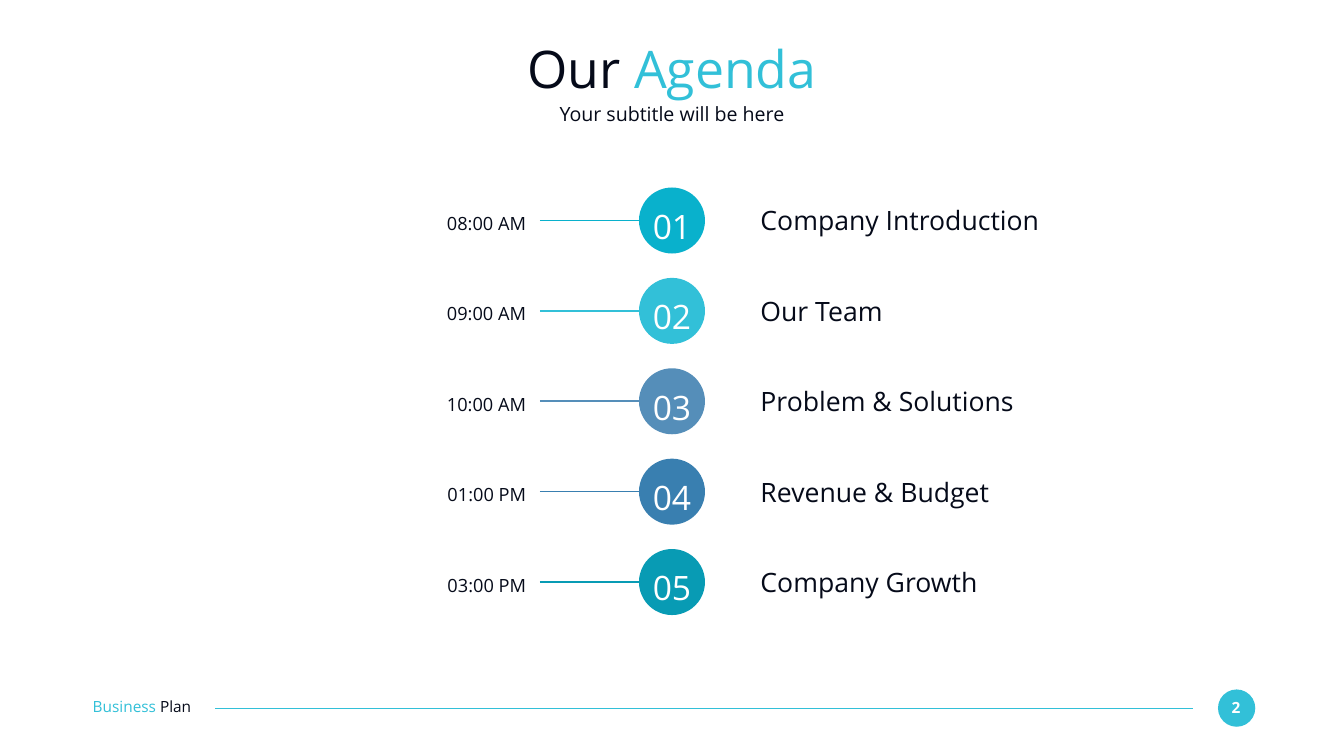
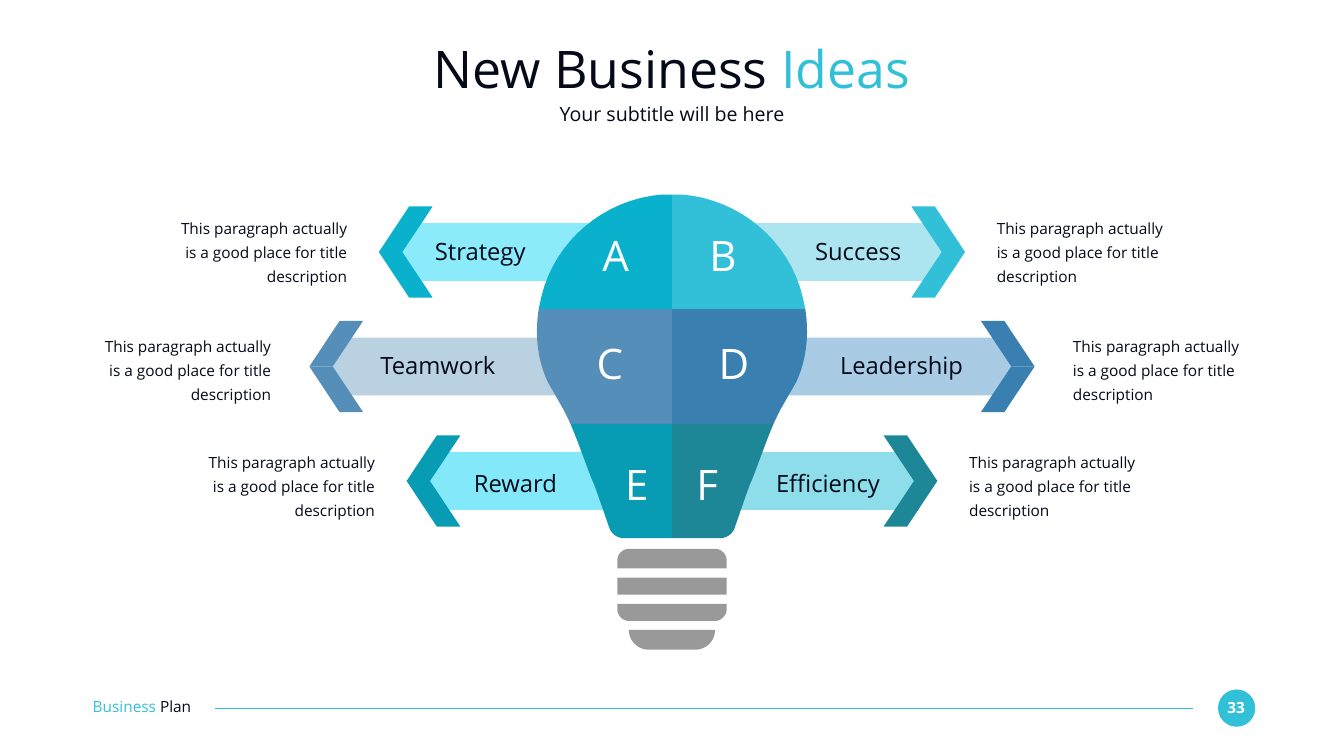
from dataclasses import dataclass

import lxml.etree
import pptx
import pptx.dml.color
import pptx.enum.shapes
import pptx.enum.text
import pptx.oxml.ns
import pptx.util

Align = pptx.enum.text.PP_ALIGN


@dataclass(frozen=True)
class Theme:
    font: str = "Open Sans"
    ink: str = "050A19"
    white: str = "FFFFFF"
    gray: str = "999999"
    accent: str = "32C0D8"
    cyan: str = "09B1CC"
    steel: str = "558EB9"
    blue: str = "397FB0"
    teal: str = "089BB4"
    pine: str = "1D8697"
    title: int = 74
    letter: int = 60
    number: int = 48
    topic: int = 38
    label: int = 34
    subtitle: int = 28
    time: int = 26
    small: int = 22


@dataclass(frozen=True)
class Box:
    """Place in grid columns and rows."""
    left: float
    top: float
    width: float
    height: float


@dataclass(frozen=True)
class AgendaItem:
    time: str
    topic: str
    color: str


@dataclass(frozen=True)
class Arm:
    """One labelled arrow; reaches are columns from the centre line."""
    side: int
    row: int
    letter: str
    label: str
    color: str
    tint: str
    letter_reach: float
    label_reach: float


@dataclass(frozen=True)
class ArmRow:
    tip: float
    inner: float
    label_width: float
    text_gap: float
    text_top: float
    letter_top: float
    label_top: float


THEME = Theme()

# Grid: 160 columns by 90 rows
SLIDE_WIDTH = pptx.util.Inches(26.67)
SLIDE_HEIGHT = pptx.util.Inches(15)
COLUMN = SLIDE_WIDTH / 160
ROW = SLIDE_HEIGHT / 90
CENTER = 80

AGENDA = [
    AgendaItem("08:00 AM", "Company Introduction", THEME.cyan),
    AgendaItem("09:00 AM", "Our Team", THEME.accent),
    AgendaItem("10:00 AM", "Problem & Solutions", THEME.steel),
    AgendaItem("01:00 PM", "Revenue & Budget", THEME.blue),
    AgendaItem("03:00 PM", "Company Growth", THEME.teal),
]
AGENDA_PITCH = 10.76

ARM_ROWS = [
    ArmRow(32.49, 3.81, 16.08, 6.18, 25.38, 27.3, 28.2),
    ArmRow(40.77, 3.81, 22.2, 6.96, 39.48, 40.14, 41.7),
    ArmRow(29.19, 0.51, 16.08, 6.18, 53.28, 54.54, 55.8),
]
ARMS = [
    Arm(-1, 0, "A", "Strategy", THEME.cyan, "8BEBFA", 6.72, 22.83),
    Arm(1, 0, "B", "Success", THEME.accent, "ACE5EF", 6.06, 22.17),
    Arm(-1, 1, "C", "Teamwork", THEME.steel, "BAD1E2", 7.38, 27.87),
    Arm(1, 1, "D", "Leadership", THEME.blue, "A9CBE4", 7.38, 27.33),
    Arm(-1, 2, "E", "Reward", THEME.teal, "83E8F9", 4.2, 18.63),
    Arm(1, 2, "F", "Efficiency", THEME.pine, "8EDDEA", 4.2, 18.57),
]
ARM_TOP, ARM_PITCH = 30, 13.63
DESCRIPTION = "This paragraph actually is a good place for title description"

# Half outlines: (reach, row) is a corner, six values are a Bézier curve
BULB_PANELS = [
    [(0, 23.16), (1.17, 23.16), (8.07, 23.7, 14.01, 28.68, 15.57, 35.4),
     (15.87, 36.8), (0, 36.8)],
    [(0, 36.8), (15.87, 36.8), (16.35, 39.9, 15.99, 42.9, 14.79, 45.48),
     (12.93, 48.72), (12.69, 49.2, 12.39, 49.8, 12.09, 50.45), (0, 50.45)],
    [(0, 50.45), (12.09, 50.45), (11.01, 52.98, 9.87, 56.4, 9.33, 57.54),
     (8.91, 58.62, 8.07, 61.08, 7.47, 62.82),
     (7.23, 63.54, 6.51, 64.08, 5.67, 64.08), (0, 64.08)],
]
SOCKET_RINGS = [
    [(5.13, 65.34), (5.85, 65.34, 6.51, 65.94, 6.51, 66.72), (6.51, 67.68)],
    [(6.51, 68.76), (6.51, 70.8)],
    [(6.51, 71.88), (6.51, 72.54), (6.51, 73.26, 5.85, 73.92, 5.13, 73.92)],
    [(5.13, 75), (5.13, 76.32, 4.05, 77.34, 2.79, 77.34)],
]


def x(columns: float) -> int:
    return round(columns * COLUMN)


def y(rows: float) -> int:
    return round(rows * ROW)


def place(box: Box) -> tuple:
    return x(box.left), y(box.top), x(box.width), y(box.height)


def rgb(color: str):
    return pptx.dml.color.RGBColor.from_string(color)


def apply(target, values: dict) -> None:
    for name, value in values.items():
        setattr(target, name, value)


def paint(shape, color: str) -> None:
    shape.shadow.inherit = False
    shape.fill.solid()
    shape.fill.fore_color.rgb = rgb(color)
    shape.line.fill.background()


def add_text(slide, box: Box, runs: list, size: int, align=Align.LEFT,
             spacing: float = 1.0, bold: bool = False) -> None:
    """Write runs of (text, colour) in one paragraph."""
    frame = slide.shapes.add_textbox(*place(box)).text_frame
    apply(frame, {"word_wrap": True, "margin_left": 0, "margin_right": 0,
                  "margin_top": 0, "margin_bottom": 0})
    paragraph = frame.paragraphs[0]
    apply(paragraph, {"alignment": align, "line_spacing": spacing})
    for text, color in runs:
        run = paragraph.add_run()
        run.text = text
        apply(run.font, {"name": THEME.font, "size": pptx.util.Pt(size), "bold": bold})
        run.font.color.rgb = rgb(color)


def add_circle(slide, box: Box, color: str) -> None:
    paint(slide.shapes.add_shape(pptx.enum.shapes.MSO_SHAPE.OVAL, *place(box)), color)


def add_line(slide, start: float, end: float, row: float, color: str, weight: float) -> None:
    line = slide.shapes.add_connector(
        pptx.enum.shapes.MSO_CONNECTOR.STRAIGHT, x(start), y(row), x(end), y(row))
    line.line.color.rgb = rgb(color)
    line.line.width = pptx.util.Pt(weight)
    properties = line._element.spPr
    lxml.etree.SubElement(properties, pptx.oxml.ns.qn("a:effectLst"))


def flatten(outline: list, steps: int = 16) -> list:
    """Turn corners and curves into plain points."""
    points = []
    for part in outline:
        if len(part) == 2:
            points.append(part)
            continue
        controls = [points[-1], part[:2], part[2:4], part[4:]]
        for step in range(1, steps + 1):
            t = step / steps
            weights = ((1 - t) ** 3, 3 * t * (1 - t) ** 2, 3 * t * t * (1 - t), t ** 3)
            points.append(tuple(sum(weight * point[axis] for weight, point in zip(weights, controls))
                                for axis in (0, 1)))
    return points


def add_outlines(slide, contours: list, side: int, color: str) -> None:
    """Draw contours of (reach, row) on one side of the centre line."""
    placed = [[(x(CENTER + side * reach), y(row)) for reach, row in contour]
              for contour in contours]
    builder = slide.shapes.build_freeform(*placed[0][0])
    for index, contour in enumerate(placed):
        if index:
            builder.move_to(*contour[0])
        builder.add_line_segments(contour[1:], close=True)
    paint(builder.convert_to_shape(), color)


def add_frame(slide, lead: str, highlight: str, page: str) -> None:
    """Footer, title and subtitle."""
    add_circle(slide, Box(145, 82.08, 4.44, 4.44), THEME.accent)
    add_text(slide, Box(145.38, 83.1, 3.54, 2.22), [(page, THEME.white)],
             THEME.small, Align.CENTER, bold=True)
    add_line(slide, 142, 25.62, 84.3, THEME.accent, 1.5)
    add_text(slide, Box(11.04, 83.04, 15.54, 2.22),
             [("Business ", THEME.accent), ("Plan", THEME.ink)], THEME.small)
    add_text(slide, Box(11, 4.38, 138, 7.62),
             [(lead, THEME.ink), (highlight, THEME.accent)], THEME.title, Align.CENTER)
    add_text(slide, Box(11, 12.18, 138, 2.94),
             [("Your subtitle will be here", THEME.ink)], THEME.subtitle, Align.CENTER)


def add_agenda_item(slide, index: int, item: AgendaItem) -> None:
    top = 22.32 + index * AGENDA_PITCH
    add_circle(slide, Box(CENTER - 3.93, top, 7.86, 7.86), item.color)
    add_line(slide, 64.26, CENTER - 3.93, top + 3.93, item.color, 2.25)
    add_text(slide, Box(CENTER - 3.09, top + 1.22, 6.18, 5.8),
             [(f"{index + 1:02}", THEME.white)], THEME.number, Align.CENTER, 1.2)
    add_text(slide, Box(41.4, top + 2.18, 21.24, 3.18),
             [(item.time, THEME.ink)], THEME.time, Align.RIGHT, 1.3)
    add_text(slide, Box(90.53, top + 2, 37.74, 3.84), [(item.topic, THEME.ink)], THEME.topic)


def add_arm_bar(slide, arm: Arm) -> None:
    row, middle = ARM_ROWS[arm.row], ARM_TOP + arm.row * ARM_PITCH
    shoulder, top, bottom = row.tip - 2.1, middle - 3.45, middle + 3.45
    add_outlines(slide, [[(row.inner, top), (shoulder, top), (row.tip, middle),
                          (shoulder, bottom), (row.inner, bottom)]], arm.side, arm.tint)


def add_arm_head(slide, arm: Arm) -> None:
    """Chevron in two halves, with its letter, label and description."""
    row, middle = ARM_ROWS[arm.row], ARM_TOP + arm.row * ARM_PITCH
    tip = row.tip + 2.4
    for end in (middle - 5.43, middle + 5.43):
        add_outlines(slide, [[(tip, middle), (tip - 2.78, middle),
                              (tip - 6.4, end), (tip - 3.6, end)]], arm.side, arm.color)

    def centered(reach: float, top: float, width: float, height: float) -> Box:
        return Box(CENTER + arm.side * reach - width / 2, top, width, height)

    add_text(slide, centered(arm.letter_reach, row.letter_top, 6.42, 6.06),
             [(arm.letter, THEME.white)], THEME.letter, Align.CENTER)
    add_text(slide, centered(arm.label_reach, row.label_top, row.label_width, 3.42),
             [(arm.label, THEME.ink)], THEME.label, Align.CENTER)
    width = 21.24
    add_text(slide, centered(row.tip + row.text_gap + width / 2, row.text_top, width, 8.5),
             [(DESCRIPTION, THEME.ink)], THEME.small,
             Align.LEFT if arm.side > 0 else Align.RIGHT, 1.3)


def build_agenda(slide) -> None:
    add_frame(slide, "Our ", "Agenda", "2")
    for index, item in enumerate(AGENDA):
        add_agenda_item(slide, index, item)


def build_ideas(slide) -> None:
    add_frame(slide, "New Business ", "Ideas", "33")
    for arm in ARMS:
        add_arm_bar(slide, arm)
    # Bulb glass, then socket
    for arm in ARMS:
        add_outlines(slide, [flatten(BULB_PANELS[arm.row])], arm.side, arm.color)
    halves = [flatten(ring) for ring in SOCKET_RINGS]
    rings = [half + [(-reach, row) for reach, row in reversed(half)] for half in halves]
    add_outlines(slide, rings, 1, THEME.gray)
    for arm in ARMS:
        add_arm_head(slide, arm)


def main() -> None:
    presentation = pptx.Presentation()
    apply(presentation, {"slide_width": SLIDE_WIDTH, "slide_height": SLIDE_HEIGHT})
    blank = presentation.slide_layouts[6]
    for build in (build_agenda, build_ideas):
        build(presentation.slides.add_slide(blank))
    presentation.save("out.pptx")


if __name__ == "__main__":
    main()
